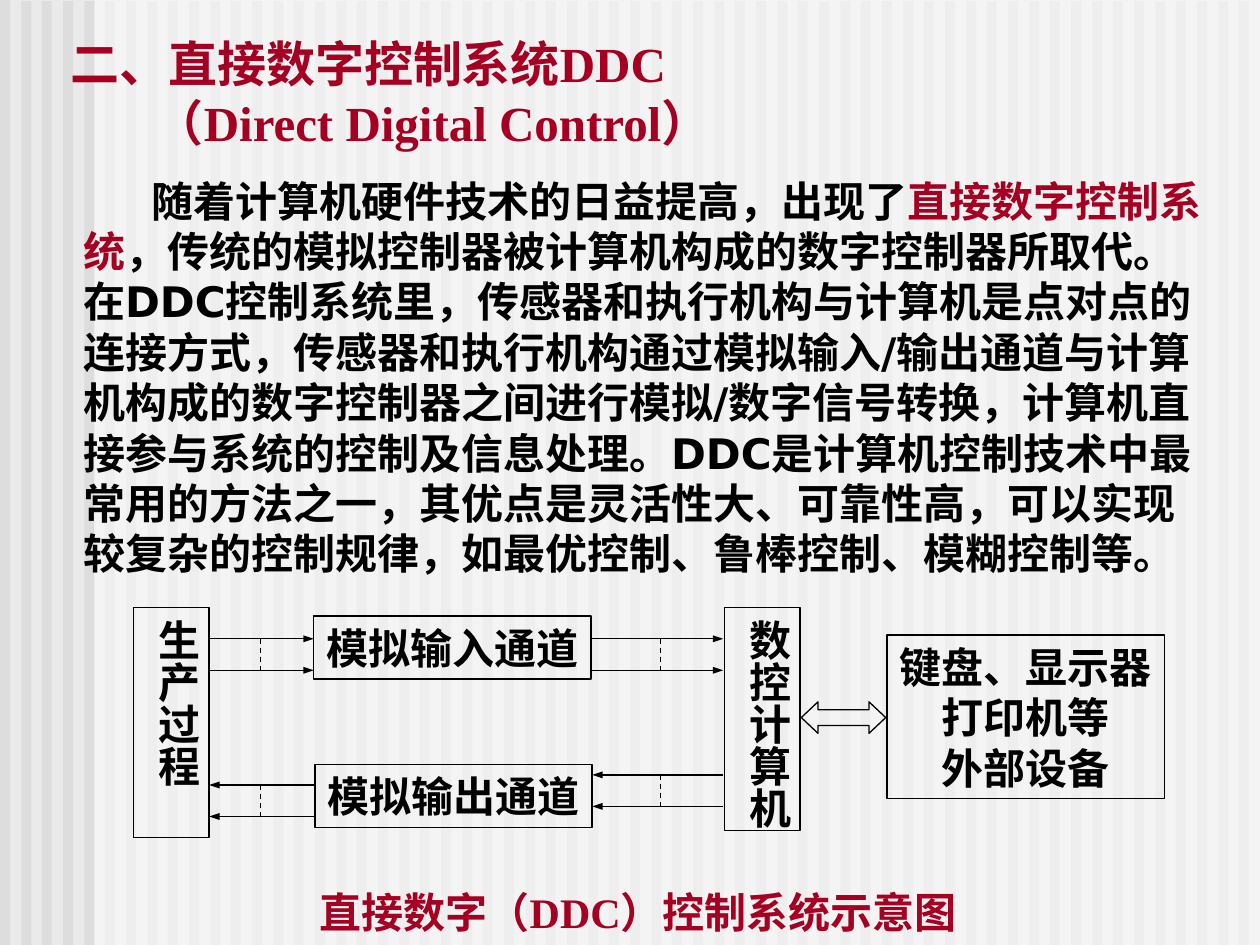
from lxml.etree import SubElement
from pptx import Presentation
from pptx.dml.color import RGBColor
from pptx.enum.dml import MSO_LINE
from pptx.enum.shapes import MSO_CONNECTOR, MSO_SHAPE
from pptx.enum.text import MSO_ANCHOR, MSO_AUTO_SIZE, PP_ALIGN
from pptx.oxml.ns import qn
from pptx.util import Inches, Pt

RED, BLACK = "A50021", "000000"
SERIF, SANS = "Times New Roman", "DejaVu Sans"
BODY = [
    ("随着计算机硬件技术的日益提高，出现了", BLACK, SERIF),
    ("直接数字控制系统", RED, SERIF),
    ("，传统的模拟控制器被计算机构成的数字控制器所取代。在", BLACK, SERIF),
    ("DDC", BLACK, SANS),
    ("控制系统里，传感器和执行机构与计算机是点对点的连接方式，传感器和执行机构通过模拟输入", BLACK, SERIF),
    ("/", BLACK, SANS),
    ("输出通道与计算机构成的数字控制器之间进行模拟", BLACK, SERIF),
    ("/", BLACK, SANS),
    ("数字信号转换，计算机直接参与系统的控制及信息处理。", BLACK, SERIF),
    ("DDC", BLACK, SANS),
    ("是计算机控制技术中最常用的方法之一，其优点是灵活性大、可靠性高，"
     "可以实现较复杂的控制规律，如最优控制、鲁棒控制、模糊控制等。", BLACK, SERIF),
]


def paint(fmt, color):
    """Give a fill or a colour format a solid hex colour."""
    fmt.solid()
    fmt.fore_color.rgb = RGBColor.from_string(color)


def write(para, text, size=24, color=BLACK, font=SERIF):
    """Add a bold run of text to a paragraph."""
    run = para.add_run()
    run.text = text
    run.font.size, run.font.bold, run.font.name = Pt(size), True, font
    paint(run.font.fill, color)


def indent(para, left, first=0):
    """Set the left margin and first-line indent of an unbulleted paragraph."""
    props = para._p.get_or_add_pPr()
    props.set("marL", str(Inches(left)))
    props.set("indent", str(Inches(first)))
    SubElement(props, qn("a:buNone"))


def place(shape, left, top, width, height):
    """Move and size a shape in inches."""
    shape.left, shape.top = Inches(left), Inches(top)
    shape.width, shape.height = Inches(width), Inches(height)


def stripe(slide, left, top, width, color):
    """Draw one full-height background band."""
    band = slide.shapes.add_shape(
        MSO_SHAPE.RECTANGLE, Inches(left), Inches(top), Inches(width), Inches(7.5))
    band.shadow.inherit = False
    paint(band.fill, color)
    band.line.fill.background()
    return band


def backdrop(slide):
    """Draw the striped background with its pale veil."""
    paint(slide.background.fill, "EAEAEA")
    for i in range(60):
        stripe(slide, round(i / 6, 2), 0.01 if i else 0, 0.08, "DDDDDD")
    veil = stripe(slide, 0.75, 0, 9.26, "FFFFFF")
    tint = veil.fill._xPr.find(".//" + qn("a:srgbClr"))
    SubElement(tint, qn("a:alpha")).set("val", "50000")


def label(frame, lines, color=BLACK, upright=False, wrap=False):
    """Fill a self-sizing text frame with centred lines."""
    side, end = (0.05, 0.1) if upright else (0.1, 0.05)
    frame.margin_left = frame.margin_right = Inches(side)
    frame.margin_top = frame.margin_bottom = Inches(end)
    frame.word_wrap = wrap
    frame.auto_size = MSO_AUTO_SIZE.SHAPE_TO_FIT_TEXT
    frame.vertical_anchor = MSO_ANCHOR.TOP
    if upright:
        frame._txBody.bodyPr.set("vert", "eaVert")
    for i, line in enumerate(lines):
        para = frame.add_paragraph() if i else frame.paragraphs[0]
        para.alignment = PP_ALIGN.CENTER
        write(para, line, color=color)


def block(slide, kind, left, top, width, height):
    """Draw an unfilled black outline shape."""
    shape = slide.shapes.add_shape(
        kind, Inches(left), Inches(top), Inches(width), Inches(height))
    shape.shadow.inherit = False
    shape.fill.background()
    paint(shape.line.fill, BLACK)
    shape.line.width = Pt(0.75)
    return shape


def link(slide, start, end, dash=False):
    """Draw a dashed line or a solid arrow between two points."""
    line = slide.shapes.add_connector(
        MSO_CONNECTOR.STRAIGHT, *(Inches(v) for v in (*start, *end)))
    paint(line.line.fill, BLACK)
    line.line.width = Pt(0.75)
    if dash:
        line.line.dash_style = MSO_LINE.DASH
    else:
        tip = SubElement(line.line._ln, qn("a:tailEnd"))
        tip.set("type", "triangle")
        tip.set("w", "sm")
    SubElement(line._element.spPr, qn("a:effectLst"))


def channel(slide, start, end, top, mid):
    """Draw a pair of arrows joined by a dashed line."""
    low = top + 0.25
    for y in (top, low):
        link(slide, (start, y), (end, y))
    link(slide, (mid, top), (mid, low), dash=True)


def heading(slide):
    """Write the two-line title."""
    title = slide.shapes.title
    place(title, 0.46, 0.22, 6.54, 1.03)
    frame = title.text_frame
    frame.auto_size = MSO_AUTO_SIZE.NONE
    frame.vertical_anchor = MSO_ANCHOR.BOTTOM
    first, second = frame.paragraphs[0], frame.add_paragraph()
    indent(second, 0.67)
    for para, text in ((first, "二、直接数字控制系统DDC"),
                       (second, "（Direct Digital Control）")):
        para.alignment = PP_ALIGN.LEFT
        para.space_before = Pt(0)
        write(para, text, size=28, color=RED)


def prose(slide):
    """Write the body paragraph."""
    body = slide.placeholders[1]
    place(body, 0.18, 1.34, 9.55, 4.58)
    body.text_frame.auto_size = MSO_AUTO_SIZE.NONE
    para = body.text_frame.paragraphs[0]
    indent(para, 0.38, 0.54)
    para.space_before = Pt(0)
    for text, color, font in BODY:
        write(para, text, color=color, font=font)


def diagram(slide):
    """Draw the control diagram and its caption."""
    boxes = [
        ((1.06, 4.82, 0.6, 1.83), ["生产过程"], True, True),
        ((2.49, 4.89, 2.2, 0.5), ["模拟输入通道"], False, False),
        ((2.5, 6.07, 2.2, 0.5), ["模拟输出通道"], False, False),
        ((5.75, 4.82, 0.6, 1.77), ["数控计算机"], True, False),
        ((7.04, 5.04, 2.2, 1.3), ["键盘、显示器", "打印机等", "外部设备"], False, False),
    ]
    for area, lines, upright, wrap in boxes:
        box = block(slide, MSO_SHAPE.RECTANGLE, *area)
        label(box.text_frame, lines, upright=upright, wrap=wrap)
    arrow = block(slide, MSO_SHAPE.LEFT_RIGHT_ARROW, 6.36, 5.57, 0.67, 0.25)
    arrow.adjustments[1] = 0.53
    channel(slide, 1.66, 2.49, 5.07, 2.07)
    channel(slide, 4.7, 5.74, 5.07, 5.24)
    channel(slide, 5.74, 4.7, 6.15, 5.24)
    channel(slide, 2.49, 1.66, 6.23, 2.07)
    note = slide.shapes.add_textbox(
        Inches(2.31), Inches(6.99), Inches(5.51), Inches(0.5))
    label(note.text_frame, ["直接数字（DDC）控制系统示意图"], color=RED)


def main():
    """Build and save the slide."""
    deck = Presentation()
    deck.slide_width, deck.slide_height = Inches(10), Inches(7.5)
    slide = deck.slides.add_slide(deck.slide_layouts[1])
    backdrop(slide)
    for holder in list(slide.placeholders):
        holder.element.getparent().append(holder.element)
    heading(slide)
    prose(slide)
    diagram(slide)
    deck.save("out.pptx")


if __name__ == "__main__":
    main()
